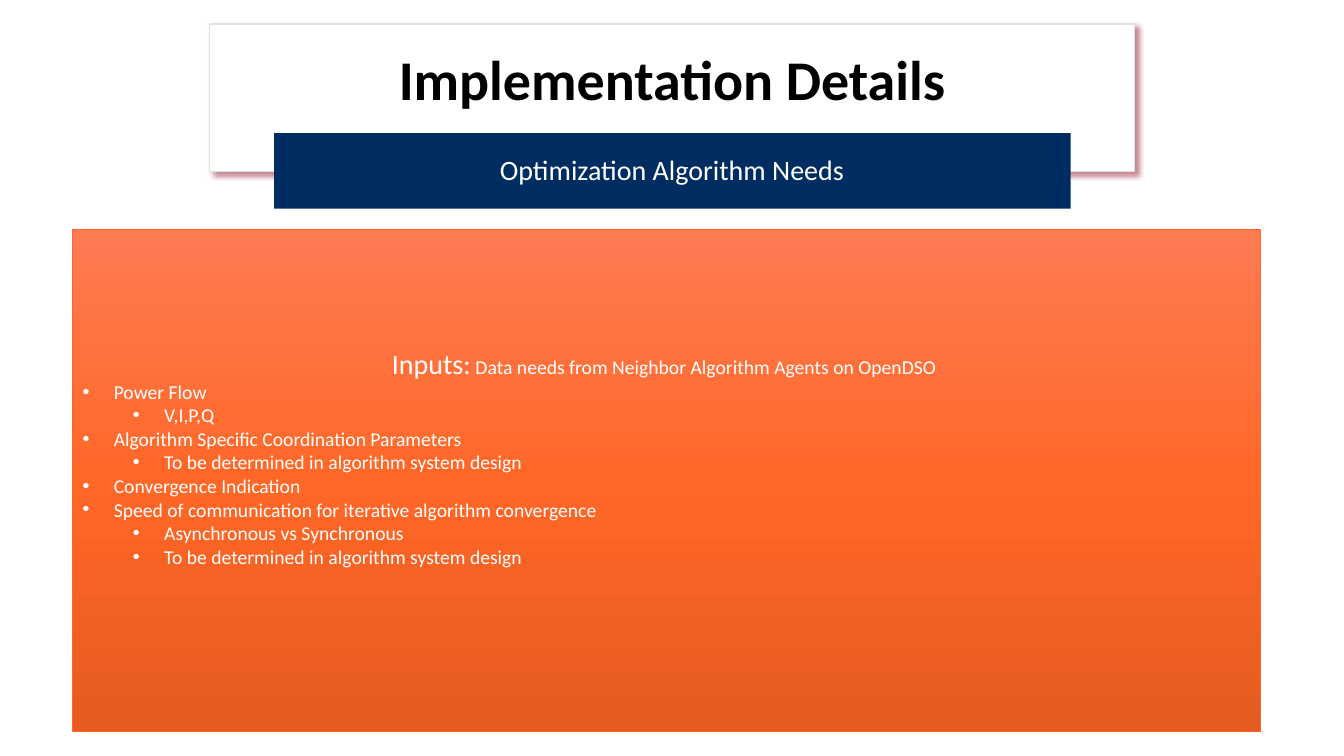
import copy

import pptx
import pptx.dml.color
import pptx.enum.shapes
import pptx.enum.text
import pptx.oxml
import pptx.oxml.ns
import pptx.util
from pptx.util import Inches

COLORS = {
    "white": "FFFFFF",
    "black": "000000",
    "frame": "E1E1E1",
    "shadow": "8D0D26",
    "navy": "002D61",
    "orange": "FF6727",
    "light orange": "FF7B54",
    "dark orange": "E55B20",
}
GRADIENT = [(0, "light orange"), (50, "orange"), (100, "dark orange")]
INPUTS = [
    (0, "Power Flow"),
    (1, "V,I,P,Q"),
    (0, "Algorithm Specific Coordination Parameters"),
    (1, "To be determined in algorithm system design"),
    (0, "Convergence Indication"),
    (0, "Speed of communication for iterative algorithm convergence"),
    (1, "Asynchronous vs Synchronous"),
    (1, "To be determined in algorithm system design"),
]
ALIGN = pptx.enum.text.PP_ALIGN


def rgb(name):
    return pptx.dml.color.RGBColor.from_string(COLORS[name])


class SlideBuilder:
    font = "Calibri"

    def __init__(self, page):
        self.page = page

    def style(self, font, size, color="white", bold=False):
        font.name = self.font
        font.size = pptx.util.Pt(size)
        font.bold = bold
        font.color.rgb = rgb(color)

    def panel(self, left, top, width, height, fill=None, line=None, line_width=1):
        shape = self.page.shapes.add_shape(
            pptx.enum.shapes.MSO_SHAPE.RECTANGLE,
            Inches(left), Inches(top), Inches(width), Inches(height))
        shape.shadow.inherit = False
        if fill:
            shape.fill.solid()
            shape.fill.fore_color.rgb = rgb(fill)
        if line:
            shape.line.color.rgb = rgb(line)
            shape.line.width = pptx.util.Pt(line_width)
        else:
            shape.line.fill.background()
        return shape

    def drop_shadow(self, shape, color):
        effects = shape._element.spPr.find(pptx.oxml.ns.qn("a:effectLst"))
        effects.append(pptx.oxml.parse_xml(
            f'<a:outerShdw {pptx.oxml.ns.nsdecls("a")} blurRad="50800" dist="38100" '
            f'dir="2700000" algn="tl" rotWithShape="0"><a:srgbClr val="{COLORS[color]}">'
            '<a:alpha val="50000"/></a:srgbClr></a:outerShdw>'))

    def gradient(self, shape, stops):
        """Fill the shape from top to bottom with three or more stops."""
        shape.fill.gradient()
        shape.fill.gradient_angle = 270
        stop_list = shape._element.spPr.find(".//" + pptx.oxml.ns.qn("a:gsLst"))
        for _ in stops[2:]:
            stop_list.append(copy.deepcopy(stop_list[-1]))
        for stop, (percent, color) in zip(shape.fill.gradient_stops, stops):
            stop.position = percent / 100
            stop.color.rgb = rgb(color)

    def heading(self, text, left, top, width, height, size, color, bold=False):
        box = self.page.shapes.add_textbox(
            Inches(left), Inches(top), Inches(width), Inches(height))
        frame = box.text_frame
        frame.word_wrap = True
        frame.vertical_anchor = pptx.enum.text.MSO_ANCHOR.MIDDLE
        para = frame.paragraphs[0]
        para.text = text
        para.alignment = ALIGN.CENTER
        para.line_spacing = 0.9
        self.style(para.font, size, color, bold)

    def lead(self, para, spans):
        para.alignment = ALIGN.CENTER
        for text, size in spans:
            span = para.add_run()
            span.text = text
            self.style(span.font, size)

    def bullet(self, frame, level, text, size):
        para = frame.add_paragraph()
        para.text = text
        para.level = level
        para.alignment = ALIGN.LEFT
        props = para._p.get_or_add_pPr()
        props.set("marL", str(Inches(0.31 + 0.5 * level)))
        props.set("indent", str(Inches(-0.31)))
        for bullet_part in ('buFont {} typeface="Arial"', 'buChar {} char="•"'):
            props.append(pptx.oxml.parse_xml(
                f'<a:{bullet_part.format(pptx.oxml.ns.nsdecls("a"))}/>'))
        self.style(para.font, size)


def main():
    deck = pptx.Presentation()
    deck.slide_width, deck.slide_height = Inches(13.33), Inches(7.5)
    page = deck.slides.add_slide(deck.slide_layouts[6])
    builder = SlideBuilder(page)

    title_frame = builder.panel(2.08, 0.24, 9.17, 1.46, "white", "frame")
    builder.drop_shadow(title_frame, "shadow")
    builder.heading("Implementation Details", 2.3, 0.34, 8.73, 0.95, 40, "black", True)
    builder.panel(2.72, 1.32, 7.9, 0.75, "navy")
    builder.heading("Optimization Algorithm Needs", 2.86, 1.38, 7.61, 0.65, 20, "white")

    inputs = builder.panel(0.72, 2.28, 11.78, 4.98, line="orange", line_width=0.5)
    builder.gradient(inputs, GRADIENT)
    frame = inputs.text_frame
    frame.word_wrap = True
    frame.vertical_anchor = pptx.enum.text.MSO_ANCHOR.MIDDLE
    frame.margin_bottom = Inches(0.52)
    builder.lead(frame.paragraphs[0], [
        ("Inputs:", 20),
        (" Data needs from Neighbor Algorithm Agents on OpenDSO ", 14)])
    for level, text in INPUTS:
        builder.bullet(frame, level, text, 14)

    deck.save("out.pptx")


if __name__ == "__main__":
    main()
